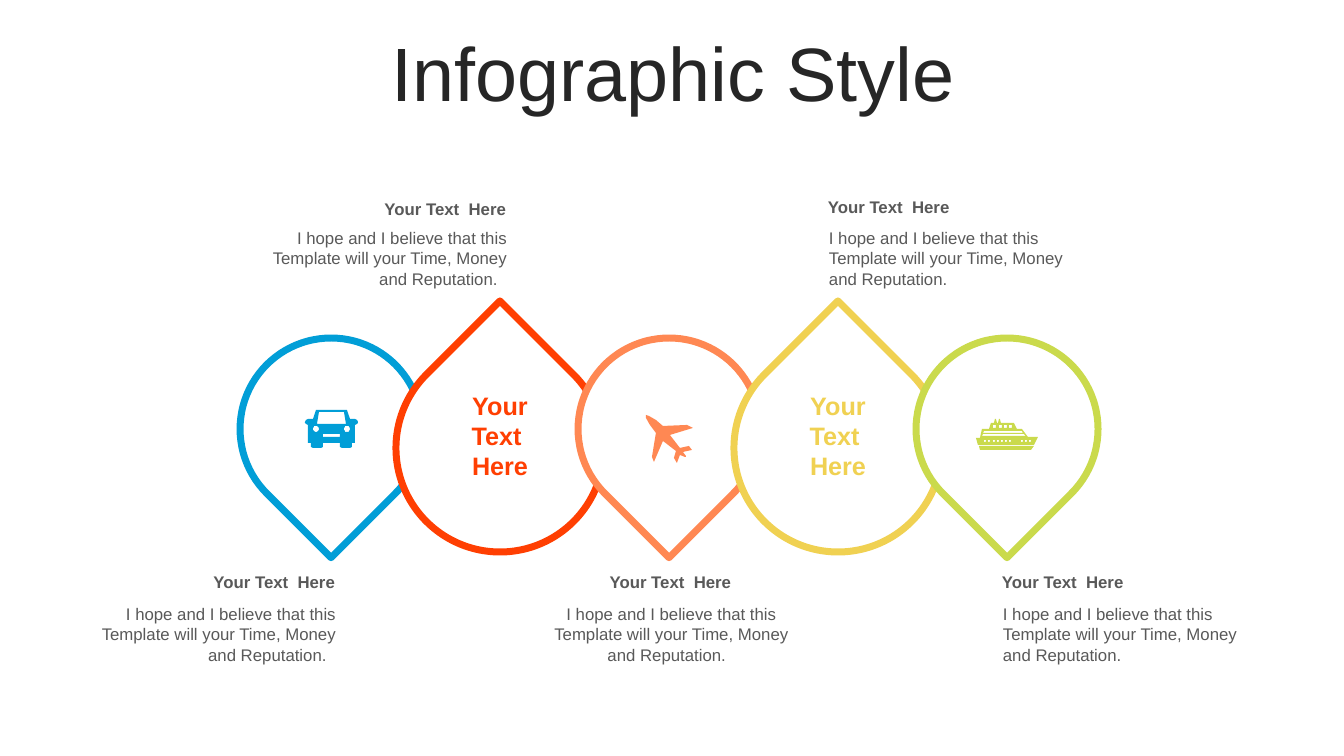
from math import cos, pi, sin

from pptx import Presentation
from pptx.dml.color import RGBColor
from pptx.enum.shapes import MSO_SHAPE as Preset
from pptx.enum.text import MSO_ANCHOR as Anchor, MSO_AUTO_SIZE as AutoSize, PP_ALIGN as Align
from pptx.util import Emu, Pt

EMU_PER_PX = 914400 / 100.8
FONT = "Arial"
WHITE = RGBColor(0xFF, 0xFF, 0xFF)
INK = RGBColor(0x26, 0x26, 0x26)
GREY = RGBColor(0x59, 0x59, 0x59)
BLUE = RGBColor(0x01, 0x9E, 0xD7)
RED = RGBColor(0xFF, 0x3F, 0x02)
ORANGE = RGBColor(0xFF, 0x88, 0x53)
YELLOW = RGBColor(0xF0, 0xD1, 0x52)
LIME = RGBColor(0xCA, 0xDA, 0x4C)

HEADING = "Your Text  Here"
MESSAGE = "I hope and I believe that this Template will your Time, Money and Reputation."
CENTRE_WORDS = "Your\nText \nHere"
FIRST_CENTRE, PITCH = 331, 169


def px(length):
    """Turn pixels into EMU."""
    return Emu(round(length * EMU_PER_PX))


def rect(left, top, width, height):
    """Return the corners of a rectangle."""
    right, bottom = left + width, top + height
    return [(left, top), (right, top), (right, bottom), (left, bottom)]


def disc(x, y, radius):
    """Return a polygon close to a circle."""
    angles = [2 * pi * step / 24 for step in range(24)]
    return [(x + radius * cos(a), y + radius * sin(a)) for a in angles]


def car_outlines():
    """Return the car body, windscreen, lamps and grille."""
    right_half = [(42, 0), (45, 9), (50, 9), (52, 10), (53, 12), (53, 13), (52, 14),
                  (50, 15), (50, 33), (47, 33), (47, 37), (45, 38), (37, 38), (35, 37), (35, 33)]
    body = right_half + [(53 - x, y) for x, y in reversed(right_half)]
    windscreen = [(14, 2), (12, 14), (41, 14), (39, 2)]
    return [body, windscreen, disc(11, 19, 3), disc(42, 19, 3), rect(18, 24, 17, 3)]


def ship_outlines():
    """Return the ship body, keel, deck lines and windows."""
    body = [(23, 0), (24, 0), (25, 4), (38, 4), (41, 10), (46, 10), (52, 18), (62, 18),
            (58, 26), (2, 26), (0, 19), (4, 19), (6, 10), (13, 10), (15, 4), (18, 4),
            (19, 0), (20, 0), (21, 4), (22, 4)]
    keel = [(3, 27), (58, 27), (55, 31), (4, 31)]
    decks = [[(7, 15), (6, 17), (50, 17), (48, 15)], [(8, 12), (7, 14), (47, 14), (46, 12)]]
    portholes = [rect(x, 21, 2, 2) for x in (8, 12, 17, 21, 25, 29, 33, 45, 49, 53)]
    windows = [rect(x, 6, 3, 3) for x in (17, 23, 28, 33)]
    return [body, keel] + decks + portholes + windows


def plane_outlines():
    """Return the plane silhouette."""
    return [[(46, 35), (37, 37), (40, 41), (40, 42), (39, 42), (34, 40), (31, 48), (28, 43),
             (30, 36), (17, 26), (8, 47), (6, 42), (10, 18), (4, 10), (0, 3), (0, 0), (3, 1),
             (10, 5), (17, 11), (41, 10), (47, 13), (24, 20), (34, 33), (43, 31)]]


def add_icon(slide, outlines, left, top, width, color):
    """Draw outlines as one filled freeform of the given width."""
    scale = px(width) / max(x for outline in outlines for x, _ in outline)
    builder = slide.shapes.build_freeform(*outlines[0][0], scale=scale)
    builder.add_line_segments(outlines[0][1:], close=True)
    for outline in outlines[1:]:
        builder.move_to(*outline[0])
        builder.add_line_segments(outline[1:], close=True)
    icon = builder.convert_to_shape(px(left), px(top))
    icon.fill.solid()
    icon.fill.fore_color.rgb = color
    icon.line.fill.background()
    icon.shadow.inherit = False


def add_drop(slide, center_x, center_y, size, rotation, color):
    """Draw one outlined teardrop around its centre."""
    corner = px(center_x - size // 2), px(center_y - size // 2)
    drop = slide.shapes.add_shape(Preset.TEAR, *corner, px(size), px(size))
    drop.rotation = rotation
    drop.fill.solid()
    drop.fill.fore_color.rgb = WHITE
    drop.line.color.rgb = color
    drop.line.width = Pt(5)
    drop.shadow.inherit = False


def add_text(slide, box, text, size, color, align, bold=False):
    """Write wrapped text into a box."""
    frame = slide.shapes.add_textbox(*map(px, box)).text_frame
    frame.word_wrap = True
    frame.auto_size = AutoSize.SHAPE_TO_FIT_TEXT
    frame.text = text
    for line in frame.paragraphs:
        line.alignment = align
        for run in line.runs:
            run.font.name = FONT
            run.font.size = Pt(size)
            run.font.bold = bold
            run.font.color.rgb = color


def add_caption(slide, left, top, width, gap, align):
    """Write a bold heading with its message below."""
    message = MESSAGE if align == Align.LEFT else MESSAGE + "  "
    add_text(slide, (left, top, width, 30), HEADING, 12, GREY, align, bold=True)
    add_text(slide, (left + 1, top + gap, width, 72), message, 12, GREY, align)


def add_title(slide, left, top, width, height):
    """Place and format the title."""
    title = slide.shapes.title
    title.left, title.top, title.width, title.height = map(px, (left, top, width, height))
    frame = title.text_frame
    frame.text = "Infographic Style"
    frame.auto_size = AutoSize.NONE
    frame.vertical_anchor = Anchor.MIDDLE
    heading = frame.paragraphs[0]
    heading.alignment = Align.CENTER
    heading.line_spacing = 0.9
    font = heading.runs[0].font
    font.name, font.size = FONT, Pt(54)
    font.color.rgb = INK


def add_chain(slide, left, middle):
    """Draw the chain of drops with icons and words inside."""
    colors = [BLUE, RED, ORANGE, YELLOW, LIME]
    icons = {0: (car_outlines(), 53, -20), 2: (plane_outlines(), 47, -15),
             4: (ship_outlines(), 62, -11)}
    for index, color in enumerate(colors):
        center = left + index * PITCH
        if index in icons:
            outlines, width, rise = icons[index]
            add_drop(slide, center, middle, 182, 135, color)
            add_icon(slide, outlines, center - width // 2, middle + rise + 1, width, color)
        else:
            add_drop(slide, center, middle + 19, 208, 315, color)
            words_box = (center - 48, middle - 44, 96, 102)
            add_text(slide, words_box, CENTRE_WORDS, 18, color, Align.CENTER, bold=True)


def main():
    """Build and save the slide."""
    deck = Presentation()
    deck.slide_width, deck.slide_height = px(1344), px(756)
    slide = deck.slides.add_slide(deck.slide_layouts[5])
    add_title(slide, 35, 37, 1276, 80)
    add_chain(slide, FIRST_CENTRE, 429)
    captions = [
        (60, 567, 285, 32, Align.RIGHT),
        (240, 194, 276, 29, Align.RIGHT),
        (528, 567, 285, 32, Align.CENTER),
        (818, 192, 276, 31, Align.LEFT),
        (992, 567, 271, 32, Align.LEFT),
    ]
    for caption in captions:
        add_caption(slide, *caption)
    deck.save("out.pptx")


if __name__ == "__main__":
    main()
